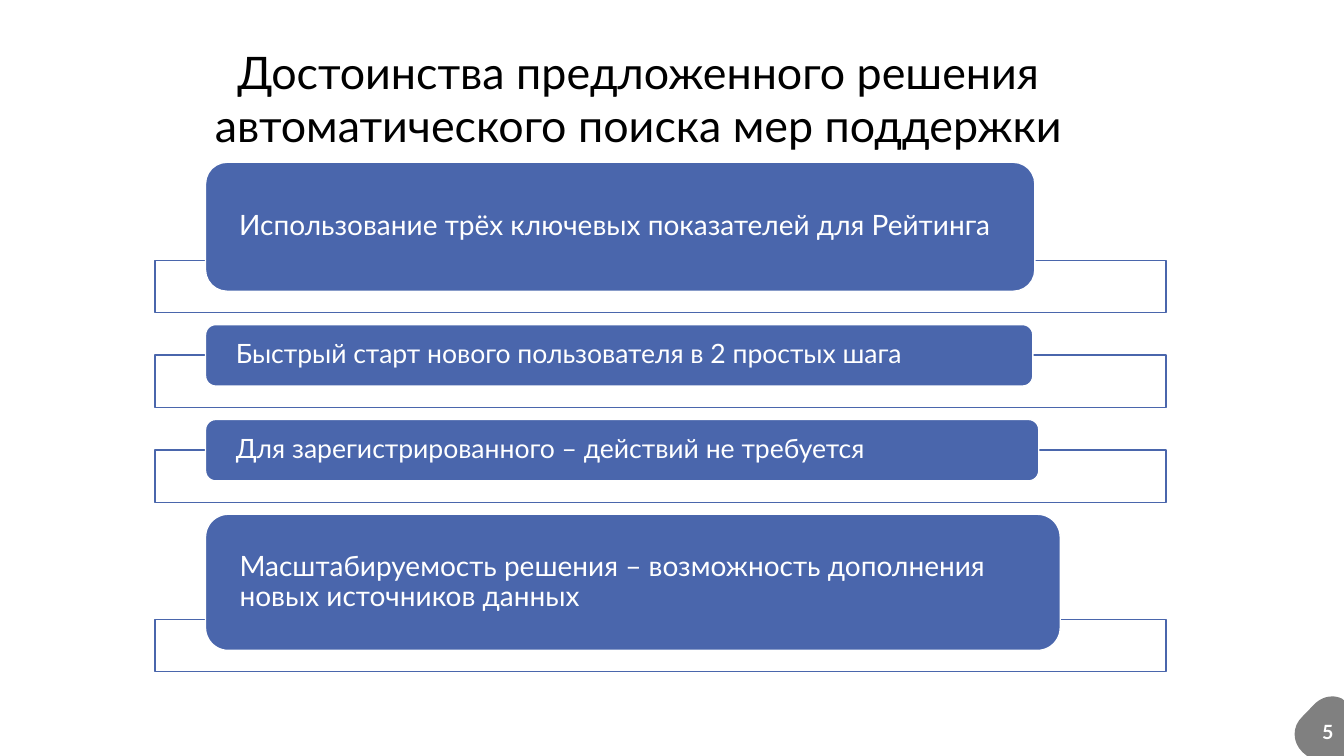
"""Build a slide on the merits of the proposed search for support measures."""
from pptx import Presentation
from pptx.dml.color import RGBColor
from pptx.enum.shapes import MSO_SHAPE
from pptx.enum.text import MSO_ANCHOR, MSO_AUTO_SIZE, PP_ALIGN
from pptx.util import Cm, Pt

BLUE = RGBColor(0x4A, 0x66, 0xAC)
WHITE = RGBColor(0xFF, 0xFF, 0xFF)
BLACK = RGBColor(0x00, 0x00, 0x00)
GRAY = RGBColor(0x80, 0x80, 0x80)
RECT, ROUND = MSO_SHAPE.RECTANGLE, MSO_SHAPE.ROUNDED_RECTANGLE
TOP, MIDDLE = MSO_ANCHOR.TOP, MSO_ANCHOR.MIDDLE
LEFT, CENTER = PP_ALIGN.LEFT, PP_ALIGN.CENTER
NONE = MSO_AUTO_SIZE.NONE


def write(shape, lines, size, color, align, frame, bold=False):
    text = shape.text_frame
    text.text = "\n".join(lines)
    for key, value in frame.items():
        setattr(text, key, value)
    for par in text.paragraphs:
        par.alignment = align
        font = {"name": "Lato", "size": Pt(size), "bold": bold}
        for key, value in font.items():
            setattr(par.font, key, value)
        par.font.color.rgb = color


def paint(shape, fill, line=None):
    shape.shadow.inherit = False
    shape.fill.solid()
    shape.fill.fore_color.rgb = fill
    if line is None:
        shape.line.fill.background()
    else:
        shape.line.color.rgb = line
        shape.line.width = Pt(1)


prs = Presentation()
prs.slide_width, prs.slide_height = Cm(33.87), Cm(19.05)
slide = prs.slides.add_slide(prs.slide_layouts[5])
shapes = slide.shapes

title = shapes.title
place = {"left": 1.63, "top": 0.99, "width": 28.93, "height": 3}
for key, value in place.items():
    setattr(title, key, Cm(value))
heading = ["Достоинства предложенного решения",
           "автоматического поиска мер поддержки"]
write(title, heading, 32, BLACK, CENTER,
      {"vertical_anchor": TOP, "auto_size": NONE, "word_wrap": True})

corner = [
    [(33.58, 17.55), (33.66, 17.55), (33.73, 17.57), (33.81, 17.6)],
    [(33.87, 17.65)],
    [(33.87, 19.05)],
    [(32.94, 19.05)],
    [(32.82, 18.95), (32.56, 18.69), (32.56, 18.31), (32.82, 18.06)],
    [(33.12, 17.75), (33.25, 17.62), (33.4, 17.55), (33.58, 17.55)],
]
STEPS = 8
edge = []
for part in corner:
    if len(part) == 1:
        edge += part
        continue
    for step in range(STEPS + 1):
        t = step / STEPS
        mix = ((1 - t) ** 3, 3 * t * (1 - t) ** 2, 3 * t * t * (1 - t), t ** 3)
        edge.append(tuple(sum(m * p[axis] for m, p in zip(mix, part))
                          for axis in (0, 1)))
dots = [(Cm(x), Cm(y)) for x, y in edge]
path = shapes.build_freeform(*dots[0])
path.add_line_segments(dots[1:], close=True)
paint(path.convert_to_shape(), GRAY)

number = shapes.add_textbox(Cm(33.07), Cm(18.01), Cm(0.76), Cm(0.86))
write(number, ["5"], 14, WHITE, LEFT, {"word_wrap": False}, bold=True)

BAR, LAP, GAP = 1.32, 0.78, 0.3
merits = [
    ("Использование трёх ключевых показателей для Рейтинга", 20.9, 3.25, 20),
    ("Быстрый старт нового пользователя в 2 простых шага", 20.85, 1.55, 19),
    ("Для зарегистрированного – действий не требуется", 21, 1.55, 19),
    ("Масштабируемость решения – возможность дополнения новых источников данных",
     21.54, 3.43, 20),
]
inset = {"vertical_anchor": MIDDLE, "word_wrap": True,
         "margin_left": Cm(0.69), "margin_right": Cm(0.69),
         "margin_top": 0, "margin_bottom": 0}
top = 4.09
for merit, width, height, size in merits:
    base = top + height - LAP
    bar = shapes.add_shape(RECT, Cm(3.91), Cm(base), Cm(25.48), Cm(BAR))
    paint(bar, WHITE, BLUE)
    card = shapes.add_shape(ROUND, Cm(5.18), Cm(top), Cm(width), Cm(height))
    paint(card, BLUE, WHITE)
    write(card, [merit], size, WHITE, LEFT, inset)
    card.text_frame.paragraphs[0].line_spacing = 0.9
    top = base + BAR + GAP

prs.save("out.pptx")
